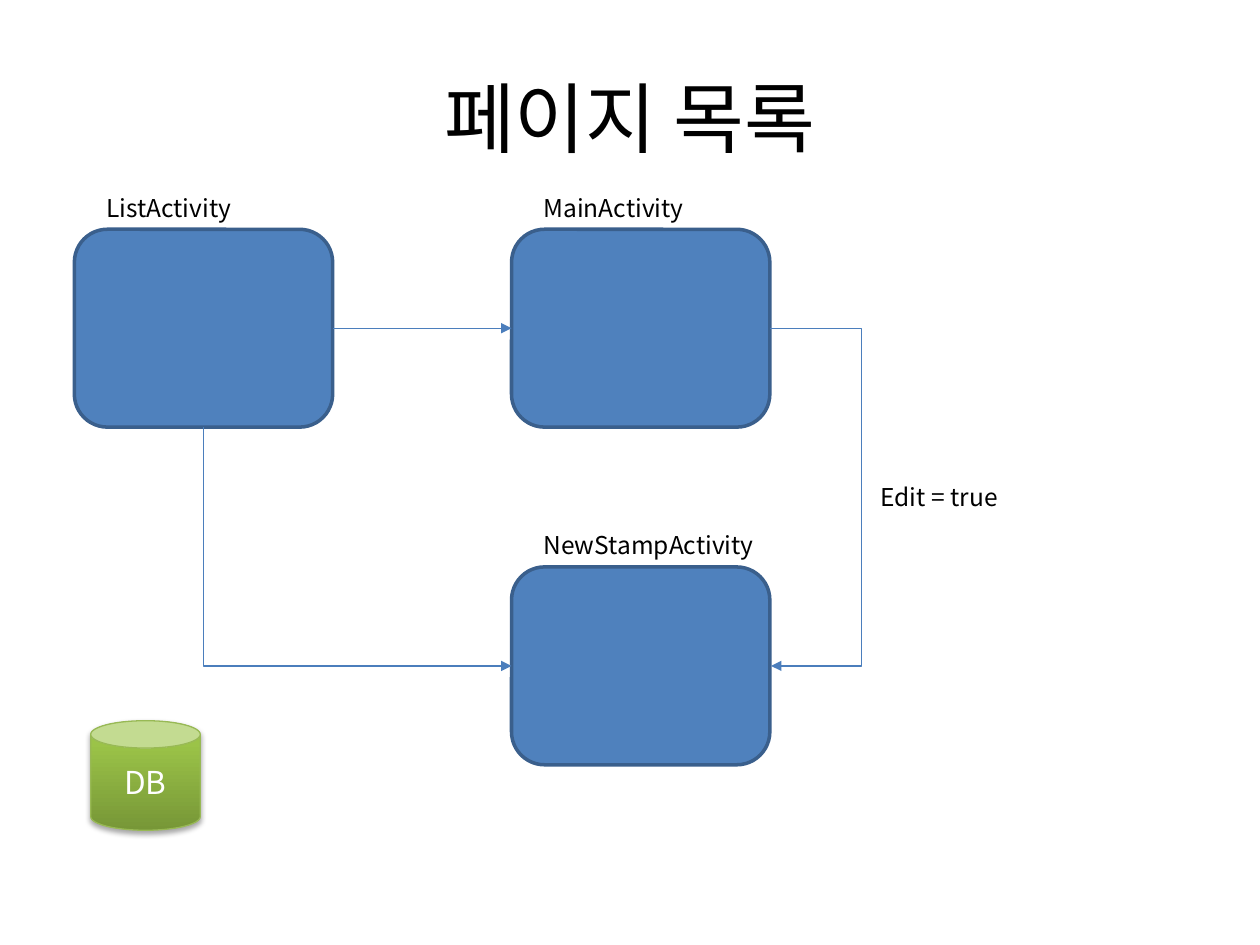
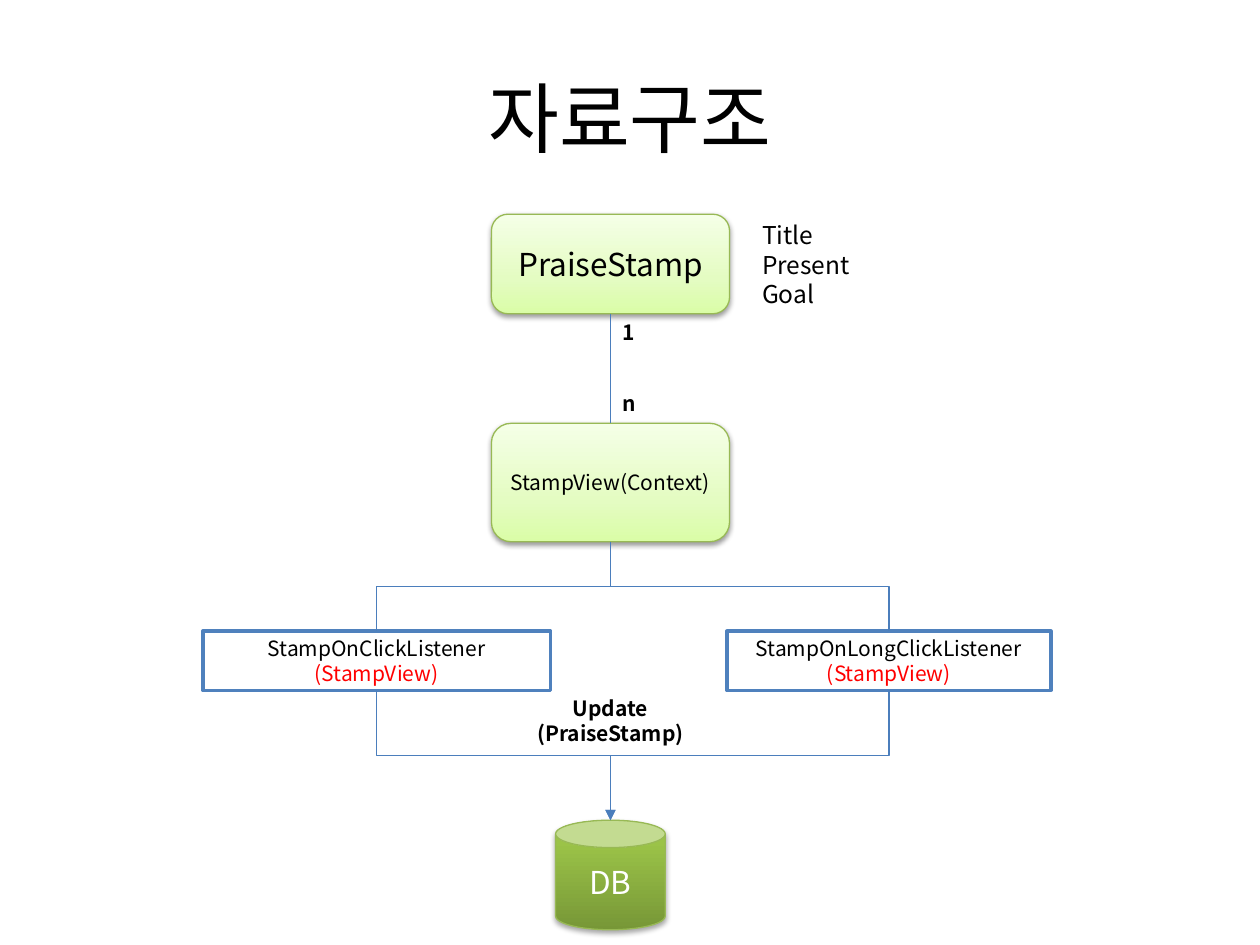
from copy import deepcopy

from lxml import etree
from pptx import Presentation
from pptx.dml.color import RGBColor
from pptx.enum.shapes import MSO_CONNECTOR, MSO_SHAPE
from pptx.enum.text import MSO_ANCHOR, MSO_AUTO_SIZE, PP_ALIGN
from pptx.oxml.ns import qn
from pptx.util import Inches, Pt

ROUNDED, RECTANGLE, CAN = MSO_SHAPE.ROUNDED_RECTANGLE, MSO_SHAPE.RECTANGLE, MSO_SHAPE.CAN
STRAIGHT, ELBOW = MSO_CONNECTOR.STRAIGHT, MSO_CONNECTOR.ELBOW
LEFT, CENTER = PP_ALIGN.LEFT, PP_ALIGN.CENTER
MIDDLE, GROW = MSO_ANCHOR.MIDDLE, MSO_AUTO_SIZE.SHAPE_TO_FIT_TEXT

FONT = "Noto Sans CJK KR"
COLORS = {
    "black": "000000", "white": "FFFFFF", "red": "FF0000",
    "blue": "4F81BD", "blue_edge": "3A5F8C", "link": "4B7EBC", "green_edge": "98B955",
}
GREEN = [(0, "779737"), (0.8, "9BC348"), (1, "9DC746")]
PALE_GREEN = [(0, "DAFDA7"), (0.35, "E4FCC2"), (1, "F5FFE7")]

STYLES = {
    "activity": {"kind": ROUNDED, "fill": "blue", "line": ("blue_edge", 2)},
    "model": {"kind": ROUNDED, "gradient": PALE_GREEN, "line": ("green_edge", 0.75),
              "shadow": (38, 1.6)},
    "listener": {"kind": RECTANGLE, "fill": "white", "line": ("blue", 2)},
    "database": {"kind": CAN, "gradient": GREEN, "line": ("green_edge", 0.75),
                 "shadow": (35, 1.8)},
}

ACTIVITY_SIZE = (2.05, 1.57)
DATABASE_SIZE = (0.87, 0.87)
LISTENER_TOP, LISTENER_HEIGHT = 5.01, 0.47
LABEL_OFFSET = (0.155, -0.34)

SLIDES = [
    {
        "title": "페이지 목록",
        "nodes": {
            "list": ("activity", (0.59, 1.82, *ACTIVITY_SIZE), [], {}),
            "main": ("activity", (4.06, 1.82, *ACTIVITY_SIZE), [], {}),
            "new": ("activity", (4.06, 4.5, *ACTIVITY_SIZE), [], {}),
            "db": ("database", (0.72, 5.72, *DATABASE_SIZE), ["DB"],
                   {"size": 18, "color": "white"}),
        },
        "labels": {
            "list": ("ListActivity", 1.73),
            "main": ("MainActivity", 1.73),
            "new": ("NewStampActivity", 2.12),
        },
        "texts": [((6.89, 3.78, 1.73, 0.34), ["Edit = true"], {})],
        "links": [
            ("list", "right", "main", "left", True, None),
            ("list", "bottom", "new", "left", True, None),
            ("main", "right", "new", "right", True, 0.74),
        ],
    },
    {
        "title": "자료구조",
        "nodes": {
            "view": ("model", (3.9, 3.36, 1.89, 0.94), ["StampView(Context)"], {"size": 12}),
            "praise": ("model", (3.9, 1.7, 1.89, 0.79), ["PraiseStamp"], {"size": 18}),
            "click": ("listener", (1.61, LISTENER_TOP, 2.76, LISTENER_HEIGHT),
                      ["StampOnClickListener", ("(StampView)", "red")], {"size": 12}),
            "long_click": ("listener", (5.77, LISTENER_TOP, 2.57, LISTENER_HEIGHT),
                           ["StampOnLongClickListener", ("(StampView)", "red")], {"size": 12}),
            "db": ("database", (4.41, 6.51, *DATABASE_SIZE), ["DB"],
                   {"size": 18, "color": "white"}),
        },
        "labels": {},
        "texts": [
            ((4.84, 2.49, 0.55, 0.3), ["1"], {"size": 12, "bold": True}),
            ((4.84, 3.05, 0.55, 0.3), ["n"], {"size": 12, "bold": True}),
            ((4.04, 5.47, 1.61, 0.5), ["Update (PraiseStamp)"],
             {"size": 12, "bold": True, "align": CENTER}),
            ((5.95, 1.7, 1.73, 0.81), ["Title", "Present", "Goal"], {}),
        ],
        "links": [
            ("praise", "bottom", "view", "top", False, None),
            ("view", "bottom", "click", "top", False, None),
            ("view", "bottom", "long_click", "top", False, None),
            ("click", "bottom", "db", "top", True, None),
            ("long_click", "bottom", "db", "top", True, None),
        ],
    },
]

SIDES = {"top": (0, 0.5, 0), "left": (1, 0, 0.5), "bottom": (2, 0.5, 1), "right": (3, 1, 0.5)}


def rgb(name):
    return RGBColor.from_string(COLORS.get(name, name))


def add_xml(parent, tag, **attributes):
    return etree.SubElement(parent, qn(tag), {key: str(value) for key, value in attributes.items()})


def write(frame, lines, size=14, color="black", bold=False, align=LEFT):
    for index, line in enumerate(lines):
        words, tint = line if isinstance(line, tuple) else (line, color)
        para = frame.paragraphs[0] if index == 0 else frame.add_paragraph()
        para.alignment = align
        span = para.add_run()
        span.text = words
        for name, value in {"name": FONT, "size": Pt(size), "bold": bold}.items():
            setattr(span.font, name, value)
        span.font.color.rgb = rgb(tint)
        add_xml(span.font._element, "a:ea", typeface=FONT)


def add_text(page, place, lines, look):
    box = page.shapes.add_textbox(*map(Inches, place))
    box.text_frame.word_wrap = True
    box.text_frame.auto_size = GROW
    write(box.text_frame, lines, **look)


def paint_gradient(shape, stops):
    shape.fill.gradient()
    shape.fill.gradient_angle = 90
    stop_list = shape._element.spPr.find(".//" + qn("a:gsLst"))
    stop_list.append(deepcopy(stop_list[0]))
    for stop, (position, color) in zip(shape.fill.gradient_stops, stops):
        stop.position = position
        stop.color.rgb = rgb(color)


def add_node(page, style_name, place, lines, look):
    style = STYLES[style_name]
    shape = page.shapes.add_shape(style["kind"], *map(Inches, place))
    shape.shadow.inherit = False
    if "gradient" in style:
        paint_gradient(shape, style["gradient"])
    else:
        shape.fill.solid()
        shape.fill.fore_color.rgb = rgb(style["fill"])
    color, width = style["line"]
    shape.line.color.rgb = rgb(color)
    shape.line.width = Pt(width)
    if "shadow" in style:
        opacity, distance = style["shadow"]
        effects = shape._element.spPr.find(qn("a:effectLst"))
        shadow = add_xml(effects, "a:outerShdw", blurRad=Pt(3.1), dist=Pt(distance),
                         dir=90 * 60000, rotWithShape=0)
        tint = add_xml(shadow, "a:srgbClr", val=COLORS["black"])
        add_xml(tint, "a:alpha", val=opacity * 1000)
    shape.text_frame.vertical_anchor = MIDDLE
    write(shape.text_frame, lines, align=CENTER, **look)
    return shape


def site(shape, side):
    index, across, down = SIDES[side]
    if shape.auto_shape_type == CAN:
        index += 1
    return index, round(shape.left + shape.width * across), round(shape.top + shape.height * down)


def bend(connector, start, end, from_side, to_side, reach):
    (x1, y1), (x2, y2) = start, end
    frame = connector._element.spPr.find(qn("a:xfrm"))
    geometry = connector._element.spPr.find(qn("a:prstGeom"))
    for name in ("flipH", "flipV"):
        frame.attrib.pop(name, None)
    if from_side == "bottom":
        width, height = abs(y2 - y1), abs(x2 - x1)
        connector.left = (x1 + x2 - width) // 2
        connector.top = (y1 + y2 - height) // 2
        frame.set("rot", str((270 if x2 > x1 else 90) * 60000))
        if x2 > x1:
            frame.set("flipH", "1")
    else:
        width, height = max(x2 - x1, Inches(0.01)), y2 - y1
        connector.left, connector.top = x1, y1
    connector.width, connector.height = width, height
    if from_side == "bottom" and to_side == "left":
        geometry.set("prst", "bentConnector2")
    else:
        share = Inches(reach) / width if reach else 0.5
        add_xml(geometry.find(qn("a:avLst")), "a:gd", name="adj1",
                fmla=f"val {round(share * 100000)}")


def add_link(page, nodes, source, from_side, target, to_side, arrow, reach):
    first, *start = site(nodes[source], from_side)
    last, *end = site(nodes[target], to_side)
    straight = not reach and (start[0] == end[0] or start[1] == end[1])
    connector = page.shapes.add_connector(STRAIGHT if straight else ELBOW, *start, *end)
    connector.begin_connect(nodes[source], first)
    connector.end_connect(nodes[target], last)
    if not straight:
        bend(connector, start, end, from_side, to_side, reach)
    connector.line.color.rgb = rgb("link")
    connector.line.width = Pt(0.75)
    if arrow:
        add_xml(connector.line._get_or_add_ln(), "a:tailEnd", type="triangle")
    add_xml(connector._element.spPr, "a:effectLst")


def add_title(page, words):
    title = page.shapes.title
    place = {"left": 0.5, "top": 0.3, "width": 9, "height": 1.25}
    for name, value in place.items():
        setattr(title, name, Inches(value))
    title.text_frame.vertical_anchor = MIDDLE
    write(title.text_frame, [words], size=44, align=CENTER)


def build_slide(deck, content):
    page = deck.slides.add_slide(deck.slide_layouts[5])
    add_title(page, content["title"])
    nodes = {name: add_node(page, *node) for name, node in content["nodes"].items()}
    for name, (words, width) in content["labels"].items():
        left, top = content["nodes"][name][1][:2]
        place = (left + LABEL_OFFSET[0], top + LABEL_OFFSET[1], width, 0.34)
        add_text(page, place, [words], {})
    for link in content["links"]:
        add_link(page, nodes, *link)
    for text in content["texts"]:
        add_text(page, *text)


def main():
    deck = Presentation()
    deck.slide_width, deck.slide_height = Inches(10), Inches(7.5)
    for content in SLIDES:
        build_slide(deck, content)
    deck.save("out.pptx")


if __name__ == "__main__":
    main()
